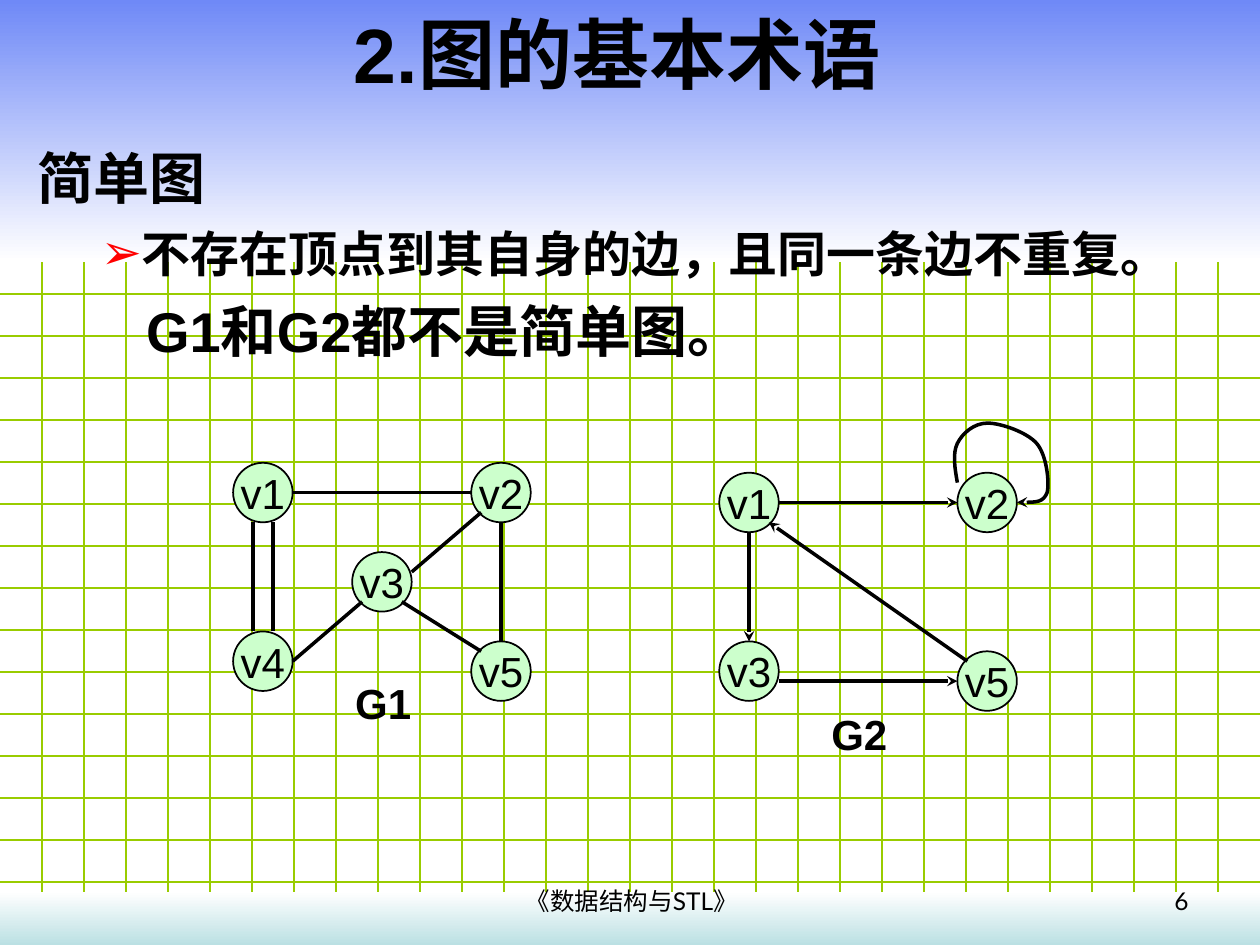
from dataclasses import dataclass
from typing import Optional

from lxml import etree
from pptx import Presentation
from pptx import util as u
from pptx.dml.color import RGBColor
from pptx.enum import shapes, text
from pptx.oxml import ns

COLORS = {
    "ink": "000000",
    "grid": "99CC00",
    "node": "CCFFCC",
    "bullet": "FF0000",
    "sky": "6F89F7",
    "teal": "BBE0E3",
    "white": "FFFFFF",
}
WIDTH, HEIGHT = 25.4, 19.05  # all lengths in cm
GRID = 2.54 / 3
NODE = 1.2
STEP = NODE / 6  # edges meet nodes on a grid of sixths


@dataclass
class Node:
    label: str
    left: float
    top: float

    def anchor(self, across: int, down: int) -> tuple[float, float]:
        return self.left + across * STEP, self.top + down * STEP


@dataclass
class Edge:
    start: str
    start_anchor: tuple[int, int]
    end: str
    end_anchor: tuple[int, int]


@dataclass
class Graph:
    name: str
    label_at: tuple[float, float]
    nodes: list[Node]
    edges: list[Edge]
    directed: bool


@dataclass
class Item:
    words: str
    size: int
    before: int
    margin: float
    indent: float
    bullet: Optional[str] = None


def rgb(name: str) -> RGBColor:
    return RGBColor.from_string(COLORS[name])


def place(shape, left: float, top: float, width: float, height: float) -> None:
    shape.left, shape.top = u.Cm(left), u.Cm(top)
    shape.width, shape.height = u.Cm(width), u.Cm(height)


def style_runs(paragraph, size: int, bold: bool = False, font: str = "Arial") -> None:
    for run in paragraph.runs:
        run.font.name, run.font.size, run.font.bold = font, u.Pt(size), bold
        run.font.color.rgb = rgb("ink")


def add_child(parent, tag: str, **attributes: str):
    return etree.SubElement(parent, ns.qn(tag), attributes)


def style_line(shape, color: str, width: float, arrow: bool = False) -> None:
    shape.line.color.rgb = rgb(color)
    shape.line.width = u.Pt(width)
    if arrow:
        add_child(shape.line._get_or_add_ln(), "a:tailEnd", type="stealth")


def add_line(slide, start, end, color: str, width: float, arrow: bool = False) -> None:
    points = [u.Cm(value) for value in (*start, *end)]
    connector = slide.shapes.add_connector(shapes.MSO_CONNECTOR.STRAIGHT, *points)
    style_line(connector, color, width, arrow)
    add_child(connector.element.spPr, "a:effectLst")


def add_band(slide, top: float, height: float, colors: tuple[str, str]) -> None:
    band = slide.shapes.add_shape(shapes.MSO_SHAPE.RECTANGLE, 0, u.Cm(top), u.Cm(WIDTH), u.Cm(height))
    band.shadow.inherit = False
    band.line.fill.background()
    band.fill.gradient()
    band.fill.gradient_angle = 270
    for stop, color in zip(band.fill.gradient_stops, colors):
        stop.color.rgb = rgb(color)


def add_text(slide, words: str, box, size: int, align, bold=False, font="Arial") -> None:
    text_box = slide.shapes.add_textbox(*(u.Cm(value) for value in box))
    text_box.text_frame.word_wrap = True
    text_box.text_frame.text = words
    paragraph = text_box.text_frame.paragraphs[0]
    paragraph.alignment = align
    style_runs(paragraph, size, bold, font)


def add_item(paragraph, item: Item) -> None:
    paragraph.text = item.words
    properties = paragraph._p.get_or_add_pPr()
    properties.set("marL", str(u.Cm(item.margin)))
    properties.set("indent", str(u.Cm(item.indent)))
    if item.bullet:
        paragraph.level = 1
        color = add_child(properties, "a:buClr")
        add_child(color, "a:srgbClr", val=COLORS["bullet"])
        add_child(properties, "a:buChar", char=item.bullet)
    else:
        add_child(properties, "a:buNone")
    paragraph.space_before = u.Pt(item.before)
    style_runs(paragraph, item.size, bold=True)


def add_node(slide, node: Node) -> None:
    shape = slide.shapes.add_shape(shapes.MSO_SHAPE.OVAL, 0, 0, 0, 0)
    place(shape, node.left, node.top, NODE, NODE)
    shape.shadow.inherit = False
    shape.fill.solid()
    shape.fill.fore_color.rgb = rgb("node")
    style_line(shape, "ink", 1)
    frame = shape.text_frame
    frame.word_wrap = False
    frame.vertical_anchor = text.MSO_ANCHOR.MIDDLE
    frame.text = node.label
    frame.paragraphs[0].alignment = text.PP_ALIGN.CENTER
    style_runs(frame.paragraphs[0], 24)


def add_graph(slide, graph: Graph) -> None:
    nodes = {node.label: node for node in graph.nodes}
    for node in graph.nodes:
        add_node(slide, node)
    for edge in graph.edges:
        start = nodes[edge.start].anchor(*edge.start_anchor)
        end = nodes[edge.end].anchor(*edge.end_anchor)
        add_line(slide, start, end, "ink", 2, graph.directed)
    add_text(slide, graph.name, (*graph.label_at, 1.8, 1.27), 24, text.PP_ALIGN.LEFT, bold=True)


def add_curve(slide, points: list[tuple[float, float]]) -> None:
    """Draw cubic curves through a start point and triples of control points."""
    start, *controls = [(u.Cm(x), u.Cm(y)) for x, y in points]
    builder = slide.shapes.build_freeform(*start)
    builder.add_line_segments(controls, close=False)
    curve = builder.convert_to_shape()
    curve.shadow.inherit = False
    curve.fill.background()
    style_line(curve, "ink", 2, arrow=True)
    segments = list(curve.element.iter(ns.qn("a:lnTo")))
    outline = segments[0].getparent()
    for first in range(0, len(segments), 3):
        cubic = add_child(outline, "a:cubicBezTo")
        for segment in segments[first:first + 3]:
            cubic.append(segment[0])
            outline.remove(segment)


ITEMS = [
    Item("简单图", 32, 0, 0.97, -0.97),
    Item("不存在顶点到其自身的边，且同一条边不重复。", 28, 7, 2.06, -0.79, "➢"),
    Item("G1和G2都不是简单图。", 32, 8, 2.18, 0),
]
GRAPHS = [
    Graph("G1", (6.91, 13.54),
          [Node("v1", 4.7, 9.33), Node("v4", 4.7, 12.73), Node("v3", 7.1, 11.13),
           Node("v2", 9.5, 9.33), Node("v5", 9.5, 12.93)],
          [Edge("v1", (2, 6), "v4", (2, 0)), Edge("v1", (4, 6), "v4", (4, 0)),
           Edge("v1", (6, 3), "v2", (0, 3)), Edge("v2", (3, 6), "v5", (3, 0)),
           Edge("v4", (6, 3), "v3", (1, 5)), Edge("v2", (1, 5), "v3", (6, 2)),
           Edge("v3", (5, 5), "v5", (1, 1))], False),
    Graph("G2", (16.51, 14.15),
          [Node("v1", 14.5, 9.53), Node("v3", 14.5, 12.93),
           Node("v2", 19.3, 9.53), Node("v5", 19.3, 13.13)],
          [Edge("v1", (3, 6), "v3", (3, 0)), Edge("v1", (6, 3), "v2", (0, 3)),
           Edge("v3", (6, 4), "v5", (0, 3)), Edge("v5", (1, 1), "v1", (5, 5))], True),
]
SELF_LOOP = [
    (19.3, 9.73), (19.25, 9.45), (19.2, 9.14), (19.3, 8.94),
    (19.4, 8.74), (19.63, 8.53), (19.91, 8.53), (20.17, 8.53), (20.7, 8.71), (20.9, 8.94),
    (21.1, 9.17), (21.16, 9.73), (21.11, 9.93), (21.03, 10.13), (20.78, 10.13), (20.5, 10.13),
]


def main() -> None:
    presentation = Presentation()
    presentation.slide_width, presentation.slide_height = u.Cm(WIDTH), u.Cm(HEIGHT)
    slide = presentation.slides.add_slide(presentation.slide_layouts[1])
    title, body = slide.placeholders

    # Backdrop: grid under two gradient bands
    for row in range(1, 23):
        add_line(slide, (0, row * GRID), (WIDTH, row * GRID), "grid", 0.75)
    for column in range(1, 30):
        add_line(slide, (column * GRID, 0), (column * GRID, HEIGHT), "grid", 0.75)
    add_band(slide, 0, 5.28, ("sky", "white"))
    add_band(slide, 17.98, 1.07, ("white", "teal"))

    # Title and list, brought in front of the backdrop
    for placeholder in (title, body):
        slide.shapes.element.append(placeholder.element)
        placeholder.text_frame.auto_size = text.MSO_AUTO_SIZE.NONE
    place(title, 0, 0, 24.89, 2.13)
    title.text_frame.text = "2.图的基本术语"
    style_runs(title.text_frame.paragraphs[0], 44, bold=True)
    place(body, 0.51, 2.77, 24.2, 14.76)
    frame = body.text_frame
    for index, item in enumerate(ITEMS):
        add_item(frame.add_paragraph() if index else frame.paragraphs[0], item)

    # Footer
    add_text(slide, "6", (18.29, 17.73, 5.92, 0.91), 14, text.PP_ALIGN.RIGHT, font="Lato")
    add_text(slide, "《数据结构与STL》", (8.71, 17.73, 8.05, 0.91), 14, text.PP_ALIGN.CENTER, font="Lato")

    # Graphs
    for graph in GRAPHS:
        add_graph(slide, graph)
    add_curve(slide, SELF_LOOP)

    presentation.save("out.pptx")


if __name__ == "__main__":
    main()
